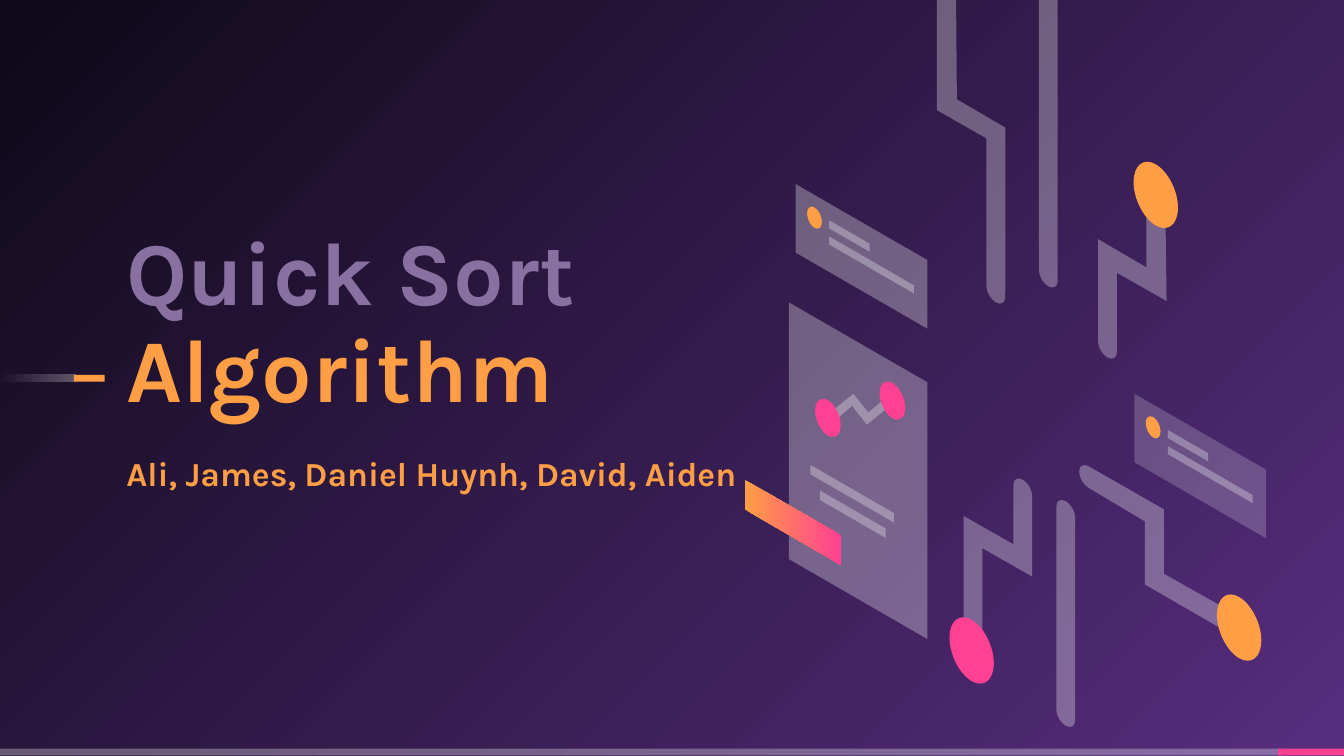
from dataclasses import dataclass

from lxml import etree
from pptx import Presentation
from pptx.dml.color import RGBColor
from pptx.enum.shapes import MSO_SHAPE
from pptx.enum.text import MSO_ANCHOR
from pptx.oxml.ns import qn
from pptx.util import Cm, Pt

RECT = MSO_SHAPE.RECTANGLE
MIDDLE = MSO_ANCHOR.MIDDLE
SLOPE = 0.577  # isometric fall per unit of width
ROUND = 0.55  # handle length of a quarter arc


@dataclass(frozen=True)
class Theme:
    font: str = "Karla"
    head: int = 48
    names: int = 18
    violet: str = "572D7E"
    night: str = "0E0918"
    mauve: str = "8870A0"
    orange: str = "FF9E44"
    pink: str = "FF4093"
    glass: tuple = ("FFFFFF", 30)
    haze: tuple = ("FFFFFF", 20)
    clear: tuple = ("FFFFFF", 0)


THEME = Theme()


def size(units):
    """Turn grid units of 2.54 cm into a length."""
    return Cm(units * 2.54)


def paint(shape, *tints):
    """Fill with one tint or a level gradient; a tint is hex or (hex, opacity)."""
    tints = [t if isinstance(t, tuple) else (t, 100) for t in tints]
    shape.shadow.inherit = False
    shape.line.fill.background()
    if len(tints) == 1:
        shape.fill.solid()
        shape.fill.fore_color.rgb = RGBColor.from_string(tints[0][0])
    else:
        shape.fill.gradient()
        shape.fill.gradient_angle = 0
        for stop, tint in zip(shape.fill.gradient_stops, tints):
            stop.color.rgb = RGBColor.from_string(tint[0])
    nodes = shape.element.spPr.findall(".//" + qn("a:srgbClr"))
    for node, (_, alpha) in zip(nodes, tints):
        if alpha < 100:
            etree.SubElement(node, qn("a:alpha"), val=str(alpha * 1000))


def backdrop(slide):
    fill = slide.background.fill
    fill.gradient()
    for stop, tint in zip(fill.gradient_stops, (THEME.violet, THEME.night)):
        stop.color.rgb = RGBColor.from_string(tint)
    line = slide.element.find(".//" + qn("a:lin"))
    glow = etree.Element(qn("a:path"), {"path": "circle"})
    etree.SubElement(glow, qn("a:fillToRect"), l="100000", t="100000")
    line.getparent().replace(line, glow)


def strip(slide, x, y, w, *tints):
    shape = slide.shapes.add_shape(RECT, size(x), size(y), size(w), size(0.05))
    paint(shape, *tints)


def outline(slide, steps, *tints):
    """Draw a closed shape; a step is a point, or three points for a curve."""
    spots = [(size(s[i]), size(s[i + 1])) for s in steps for i in range(0, len(s), 2)]
    form = slide.shapes.build_freeform(*spots[0])
    form.add_line_segments(spots[1:], close=True)
    shape = form.convert_to_shape()
    lines = iter(shape.element.spPr.findall(".//" + qn("a:lnTo")))
    for step in steps[1:]:
        line = next(lines)
        if len(step) == 6:
            curve = etree.Element(qn("a:cubicBezTo"))
            line.addprevious(curve)
            for part in (line, next(lines), next(lines)):
                curve.append(part[0])
                part.getparent().remove(part)
    paint(shape, *tints)


def arc(x, y, u, v, count):
    """Start at centre plus u and turn through v by a count of quarters."""
    steps = [(x + u[0], y + u[1])]
    for _ in range(count):
        steps.append((x + u[0] + ROUND * v[0], y + u[1] + ROUND * v[1],
                      x + v[0] + ROUND * u[0], y + v[1] + ROUND * u[1],
                      x + v[0], y + v[1]))
        u, v = v, (-u[0], -u[1])
    return steps


def slab(slide, x, y, w, h, *tints):
    """Draw an upright panel that falls to the right."""
    low = y + w * SLOPE
    outline(slide, [(x, y), (x + w, low), (x + w, low + h), (x, y + h)], *tints)


def disc(slide, x, y, w, tint):
    """Draw a tilted disc around its centre."""
    side, rise = (w / 2, w / 2 * SLOPE), (0, 0.69 * w)
    outline(slide, arc(x, y, side, rise, 4), tint)


def cap(start, end, dx, dy):
    """Round a pipe end from start to end, bulging by dx, dy."""
    x, y = (start[0] + end[0]) / 2, (start[1] + end[1]) / 2
    return arc(x, y, (start[0] - x, start[1] - y), (dx, dy), 2)


def top(x, y):
    return cap((x, y), (x + 0.14, y + 0.08), 0, -0.08)


def foot(x, y):
    return cap((x + 0.14, y + 0.08), (x, y), 0, 0.08)


def pipes(slide):
    shapes = [
        top(6.97, -0.58) + [(7.12, 0.74), (7.48, 0.95)] + foot(7.34, 2.13)
        + [(7.34, 1.03), (6.97, 0.82)],
        top(7.73, -0.08) + foot(7.73, 2.01),
        top(7.86, 3.77) + foot(7.86, 5.28),
        top(7.54, 3.61) + [(7.68, 4.29), (7.31, 4.08)] + foot(7.17, 4.92)
        + [(7.17, 3.84), (7.54, 4.05)],
        top(8.53, 1.37) + [(8.68, 2.24), (8.31, 2.03)] + foot(8.17, 2.54)
        + [(8.17, 1.78), (8.53, 1.99)],
        cap((8.1, 3.63), (8.1, 3.47), -0.07, -0.04)
        + [(8.66, 3.79), (8.66, 4.27)]
        + cap((9.23, 4.59), (9.23, 4.76), 0.07, 0.04)
        + [(8.52, 4.35), (8.52, 3.88)],
    ]
    for steps in shapes:
        outline(slide, steps, THEME.glass)
    disc(slide, 7.23, 4.84, 0.33, THEME.pink)
    disc(slide, 8.6, 1.45, 0.33, THEME.orange)
    disc(slide, 9.22, 4.67, 0.33, THEME.orange)


def phone(slide):
    slab(slide, 5.87, 2.25, 1.03, 1.91, THEME.glass)
    slab(slide, 6.03, 3.46, 0.62, 0.07, THEME.glass)
    slab(slide, 6.1, 3.65, 0.49, 0.07, THEME.glass)
    slab(slide, 5.54, 3.57, 0.72, 0.22, THEME.orange, THEME.pink)
    chart = [(6.61, 3.03), (6.45, 3.16), (6.34, 3.02), (6.2, 3.14),
             (6.14, 3.1), (6.35, 2.93), (6.46, 3.07), (6.57, 2.98)]
    outline(slide, chart, THEME.glass)
    disc(slide, 6.64, 2.98, 0.19, THEME.pink)
    disc(slide, 6.16, 3.11, 0.19, THEME.pink)


def card(slide, x, y, tint):
    slab(slide, x, y, 0.98, 0.51, tint)
    slab(slide, x + 0.25, y + 0.27, 0.3, 0.06, THEME.glass)
    slab(slide, x + 0.25, y + 0.39, 0.63, 0.06, THEME.glass)
    disc(slide, x + 0.14, y + 0.25, 0.11, THEME.orange)


def write(para, text, *, pt, tint):
    run = para.add_run()
    run.text = text
    run.font.name = THEME.font
    run.font.size = Pt(pt)
    run.font.bold = True
    run.font.color.rgb = RGBColor.from_string(tint)


def title(slide):
    box = slide.shapes.add_textbox(size(0.94), size(1.14), size(5.59), size(3.09))
    frame = box.text_frame
    frame.word_wrap = True
    frame.vertical_anchor = MIDDLE
    frame.margin_left = frame.margin_right = 0
    frame.margin_top = frame.margin_bottom = 0
    head, names = frame.paragraphs[0], frame.add_paragraph()
    head.line_spacing = names.line_spacing = 0.9
    names.space_before = Pt(19)
    write(head, "Quick Sort ", pt=THEME.head, tint=THEME.mauve)
    write(head, "Algorithm", pt=THEME.head, tint=THEME.orange)
    write(names, "Ali, James, Daniel Huynh, David, Aiden",
          pt=THEME.names, tint=THEME.orange)


def main():
    deck = Presentation()
    deck.slide_width, deck.slide_height = size(10), size(5.625)
    slide = deck.slides.add_slide(deck.slide_layouts[6])
    backdrop(slide)
    strip(slide, 0, 5.57, 9.54, THEME.glass)
    strip(slide, 9.51, 5.57, 0.49, THEME.pink)
    strip(slide, 0, 2.79, 0.56, THEME.clear, THEME.glass)
    strip(slide, 0.55, 2.79, 0.23, THEME.orange)
    title(slide)
    pipes(slide)
    phone(slide)
    card(slide, 8.44, 2.93, THEME.haze)
    card(slide, 5.92, 1.37, THEME.glass)
    deck.save("out.pptx")


if __name__ == "__main__":
    main()
